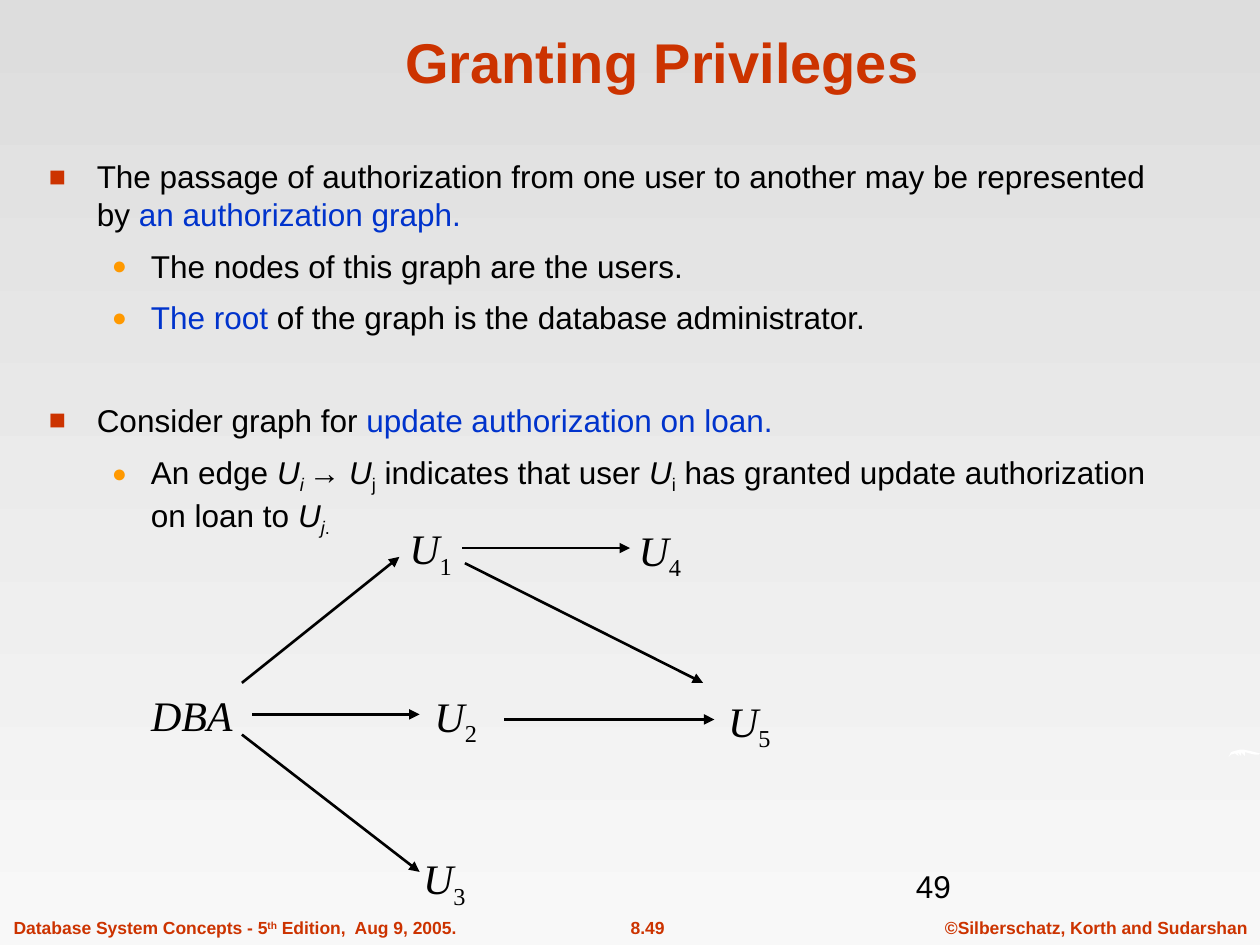
import pptx
import pptx.dml.color
import pptx.enum.shapes
import pptx.enum.text
import pptx.oxml.ns
import pptx.util
from lxml import etree
from pptx.util import Inches

RGBColor = pptx.dml.color.RGBColor
BLACK = RGBColor(0x00, 0x00, 0x00)
WHITE = RGBColor(0xFF, 0xFF, 0xFF)
RED = RGBColor(0xCC, 0x33, 0x00)
BLUE = RGBColor(0x00, 0x33, 0xCC)
ORANGE = RGBColor(0xFF, 0x99, 0x00)
GRADIENT_TOP = RGBColor(0xDD, 0xDD, 0xDD)
GRADIENT_BOTTOM = RGBColor(0xF8, 0xF8, 0xF8)

ALIGN = pptx.enum.text.PP_ALIGN
SUBSCRIPT = -25
SUPERSCRIPT = 30

BULLETS = [
    {"symbol": "■", "colour": RED, "percent": 90, "left": 0.38, "hanging": 0.38},
    {"symbol": "●", "colour": ORANGE, "percent": 80, "left": 0.81, "hanging": 0.31},
]

BODY = [
    (0, 0, [
        ("The passage of authorization from one user to another may be represented by ", {}),
        ("an authorization graph.", {"colour": BLUE}),
    ]),
    (1, 7.9, [("The nodes of this graph are the users.", {})]),
    (1, 7.9, [
        ("The root", {"colour": BLUE}),
        (" of the graph is the database administrator.", {}),
    ]),
    (0, 37, [
        ("Consider graph for ", {}),
        ("update authorization on loan.", {"colour": BLUE}),
    ]),
    (1, 7.9, [
        ("An edge ", {}),
        ("U", {"italic": True}),
        ("i ", {"italic": True, "baseline": SUBSCRIPT}),
        ("→ ", {}),
        ("U", {"italic": True}),
        ("j", {"baseline": SUBSCRIPT}),
        (" indicates that user ", {}),
        ("U", {"italic": True}),
        ("i", {"baseline": SUBSCRIPT}),
        (" has granted update authorization on loan to ", {}),
        ("U", {"italic": True}),
        ("j", {"italic": True, "baseline": SUBSCRIPT}),
        (".", {"baseline": SUBSCRIPT}),
    ]),
]

USERS = [
    ("1", 3.15, 4.1),
    ("4", 4.97, 4.11),
    ("2", 3.35, 5.43),
    ("5", 5.68, 5.47),
    ("3", 3.26, 6.72),
]

EDGES = [
    (1.92, 5.42, 3.17, 4.42),
    (3.67, 4.35, 5, 4.35),
    (2, 5.67, 3.33, 5.67),
    (1.92, 5.83, 3.33, 6.92),
    (4, 5.71, 5.67, 5.71),
    (3.69, 4.47, 5.58, 5.42),
]

SWOOSH = [
    (9.75, 6.01), (9.77, 5.97), (9.8, 5.96), (9.84, 5.95), (9.87, 5.95),
    (9.92, 5.96), (9.96, 5.97), (10, 5.98), (9.99, 5.99), (9.96, 5.99),
    (9.92, 5.98), (9.88, 5.97), (9.88, 6), (9.85, 5.97), (9.85, 6),
    (9.82, 5.97), (9.83, 6), (9.8, 5.98), (9.77, 5.99),
]


def add_element(parent, tag, **attributes):
    return etree.SubElement(parent, pptx.oxml.ns.qn(tag), attributes)


def set_background(slide):
    fill = slide.background.fill
    fill.gradient()
    fill.gradient_angle = 270
    for stop, colour in zip(fill.gradient_stops, (GRADIENT_TOP, GRADIENT_BOTTOM)):
        stop.color.rgb = colour


def add_text_box(slide, left, top, width, height, wrap=False):
    box = slide.shapes.add_textbox(
        Inches(left), Inches(top), Inches(width), Inches(height))
    box.text_frame.word_wrap = wrap
    return box.text_frame


def add_runs(paragraph, pieces, size, name="Arial", colour=BLACK, bold=False):
    for text, style in pieces:
        run = paragraph.add_run()
        run.text = text
        run.font.size = pptx.util.Pt(size)
        run.font.name = name
        run.font.bold = bold
        run.font.italic = style.get("italic", False)
        run.font.color.rgb = style.get("colour", colour)
        if "baseline" in style:
            run._r.get_or_add_rPr().set("baseline", str(style["baseline"] * 1000))


def set_bullet(paragraph, level):
    bullet = BULLETS[level]
    properties = paragraph._p.get_or_add_pPr()
    properties.set("marL", str(Inches(bullet["left"])))
    properties.set("indent", str(-Inches(bullet["hanging"])))
    colour = add_element(properties, "a:buClr")
    add_element(colour, "a:srgbClr", val=str(bullet["colour"]))
    add_element(properties, "a:buSzPct", val=str(bullet["percent"] * 1000))
    add_element(properties, "a:buFont", typeface="Arial")
    add_element(properties, "a:buChar", char=bullet["symbol"])
    paragraph.level = level


def add_title(slide):
    frame = add_text_box(slide, 0.84, 0.13, 8.83, 0.67, wrap=True)
    frame.vertical_anchor = pptx.enum.text.MSO_ANCHOR.BOTTOM
    paragraph = frame.paragraphs[0]
    paragraph.alignment = ALIGN.CENTER
    add_runs(paragraph, [("Granting Privileges", {})], 32, colour=RED, bold=True)


def add_body(slide):
    frame = add_text_box(slide, 0.29, 1.2, 8.97, 5.36, wrap=True)
    for index, (level, space, pieces) in enumerate(BODY):
        paragraph = frame.add_paragraph() if index else frame.paragraphs[0]
        set_bullet(paragraph, level)
        paragraph.space_before = pptx.util.Pt(space)
        add_runs(paragraph, pieces, 18)


def add_footer(slide, left, width, alignment, pieces):
    paragraph = add_text_box(slide, left, 7.23, width, 0.27).paragraphs[0]
    paragraph.alignment = alignment
    add_runs(paragraph, pieces, 10, colour=RED, bold=True)


def add_swoosh(slide):
    points = [(Inches(x), Inches(y)) for x, y in SWOOSH]
    builder = slide.shapes.build_freeform(*points[0])
    builder.add_line_segments(points[1:], close=True)
    shape = builder.convert_to_shape()
    shape.shadow.inherit = False
    shape.fill.solid()
    shape.fill.fore_color.rgb = WHITE
    shape.line.fill.background()


def add_node(slide, pieces, left, top, width, height):
    frame = add_text_box(slide, left, top, width, height)
    add_runs(frame.paragraphs[0], pieces, 24, name="Times New Roman")


def add_arrow(slide, *ends):
    connector = slide.shapes.add_connector(
        pptx.enum.shapes.MSO_CONNECTOR.STRAIGHT, *map(Inches, ends))
    connector.line.color.rgb = BLACK
    connector.line.width = pptx.util.Pt(1.5)
    add_element(connector.line._get_or_add_ln(), "a:tailEnd", type="triangle")
    add_element(connector._element.spPr, "a:effectLst")


def main():
    presentation = pptx.Presentation()
    presentation.slide_width = Inches(10)
    presentation.slide_height = Inches(7.5)
    slide = presentation.slides.add_slide(presentation.slide_layouts[6])
    set_background(slide)
    add_footer(slide, 7.4, 2.6, ALIGN.CENTER,
               [("©Silberschatz, Korth and Sudarshan", {})])
    add_footer(slide, 4.65, 0.98, ALIGN.CENTER, [("8.49", {})])
    add_footer(slide, 0.01, 3.72, ALIGN.LEFT, [
        ("Database System Concepts - 5", {}),
        ("th", {"baseline": SUPERSCRIPT}),
        (" Edition,  Aug 9, 2005.", {}),
    ])
    add_swoosh(slide)
    add_title(slide)
    add_body(slide)
    for edge in EDGES:
        add_arrow(slide, *edge)
    for number, left, top in USERS:
        pieces = [("U", {"italic": True}), (number, {"baseline": SUBSCRIPT})]
        add_node(slide, pieces, left, top, 0.54, 0.56)
    add_node(slide, [("DBA", {"italic": True})], 1.1, 5.42, 0.85, 0.5)
    page_number = add_text_box(slide, 7.17, 6.83, 2.08, 0.5, wrap=True)
    add_runs(page_number.paragraphs[0], [("49", {})], 18)
    presentation.save("out.pptx")


if __name__ == "__main__":
    main()
